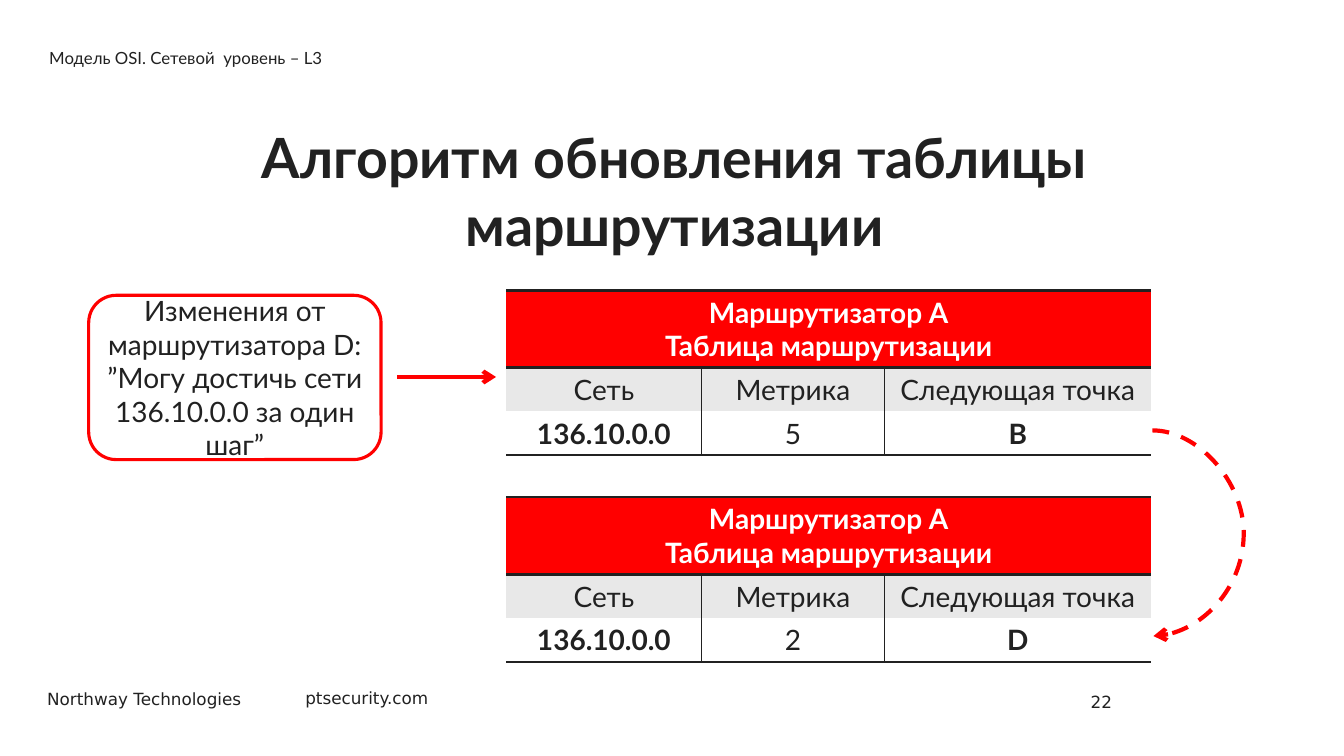
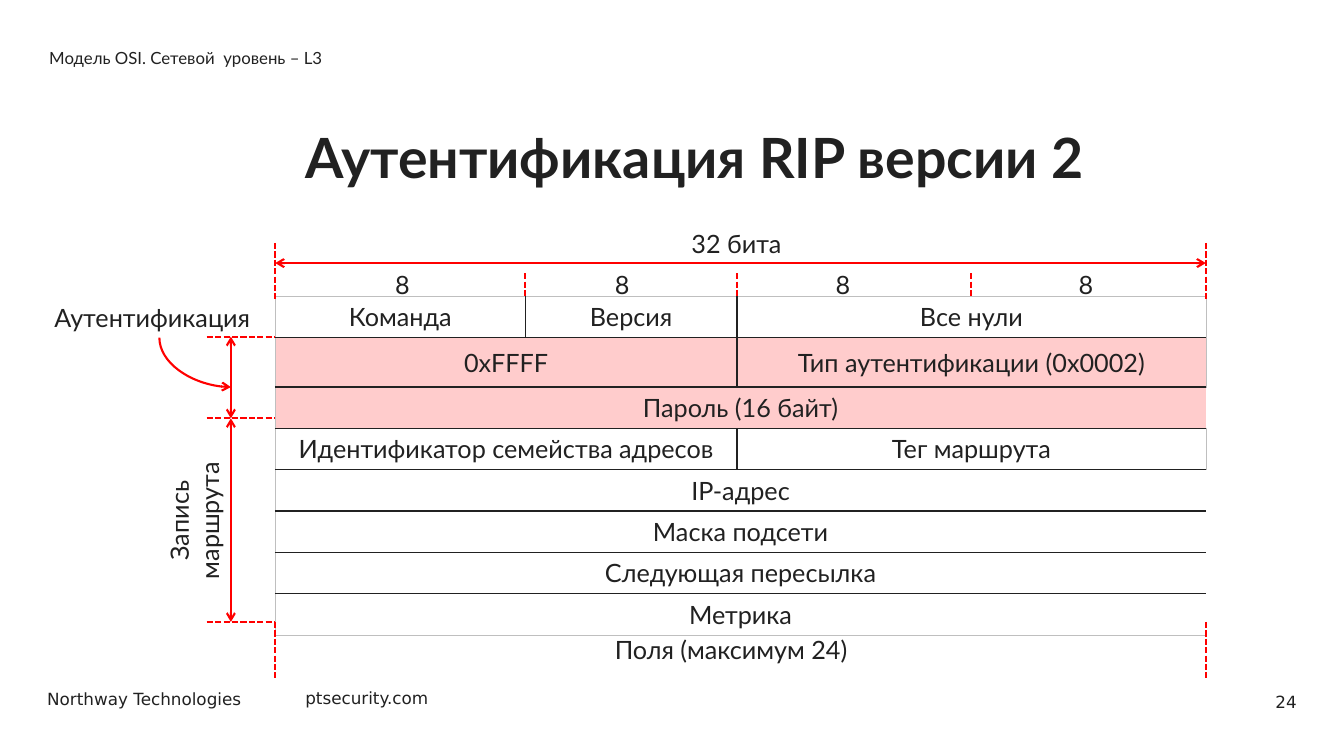
from pptx import Presentation
from pptx.dml.color import RGBColor
from pptx.enum.dml import MSO_LINE
from pptx.enum.shapes import MSO_CONNECTOR, MSO_SHAPE
from pptx.enum.text import MSO_ANCHOR, PP_ALIGN
from pptx.oxml.ns import qn
from pptx.util import Pt
from lxml.etree import SubElement

PX = 9144  # EMU per px, 100 px to the inch
INK = RGBColor(0x21, 0x21, 0x21)
RED = RGBColor(0xFF, 0x00, 0x00)
PINK = RGBColor(0xFF, 0xCC, 0xCC)
GRAY = RGBColor(0xE8, 0xE8, 0xE8)
EDGE = RGBColor(0xBF, 0xBF, 0xBF)
WHITE = RGBColor(0xFF, 0xFF, 0xFF)
LEFT, CENTER, RIGHT = PP_ALIGN.LEFT, PP_ALIGN.CENTER, PP_ALIGN.RIGHT
TOP, MIDDLE = MSO_ANCHOR.TOP, MSO_ANCHOR.MIDDLE
HEAD_FONT, FOOT_FONT = "Lato", "DejaVu Sans"
SECTION = "Модель OSI. Сетевой  уровень – L3"
FOOTERS = [(37, 678, 220, "Northway Technologies"), (293, 677, 160, "ptsecurity.com")]


class Deck:
    def __init__(self):
        self.prs = Presentation()
        self.prs.slide_width, self.prs.slide_height = 1333 * PX, 750 * PX
        self.s = None

    def slide(self, number, number_align=LEFT):
        """Start a slide with its section label, footer and number."""
        self.s = self.prs.slides.add_slide(self.prs.slide_layouts[6])
        for x, y, w, label in FOOTERS:
            self.text(x, y, w, 30, label, size=12, font=FOOT_FONT)
        self.text(1072, 676, 224, 40, str(number), size=12, font=FOOT_FONT,
                  align=number_align, anchor=MIDDLE)
        self.text(39, 37, 1033, 40, SECTION, size=12, anchor=MIDDLE)

    def title(self, x, text, align):
        sp = self.text(x, 117, 992, 120, text, size=39.6, align=align, bold=True)
        sp.text_frame.paragraphs[0].line_spacing = Pt(48)

    def set_text(self, tf, text, size, color=INK, font=HEAD_FONT, align=LEFT, bold=False):
        tf.text = text
        for p in tf.paragraphs:
            p.alignment = align
            p.font.size, p.font.name, p.font.bold = Pt(size), font, bold
            p.font.color.rgb = color

    def text(self, x, y, w, h, text, size=18, anchor=TOP, rotation=0, **style):
        sp = self.s.shapes.add_textbox(x * PX, y * PX, w * PX, h * PX)
        sp.rotation = rotation
        sp.text_frame.word_wrap = True
        sp.text_frame.vertical_anchor = anchor
        self.set_text(sp.text_frame, text, size, **style)
        return sp

    def callout(self, x, y, w, h, text):
        sp = self.s.shapes.add_shape(MSO_SHAPE.ROUNDED_RECTANGLE,
                                     x * PX, y * PX, w * PX, h * PX)
        sp.shadow.inherit = False
        sp.fill.solid()
        sp.fill.fore_color.rgb = WHITE
        sp.line.color.rgb, sp.line.width = RED, Pt(2.25)
        sp.text_frame.word_wrap = True
        sp.text_frame.vertical_anchor = MIDDLE
        self.set_text(sp.text_frame, text, 20, align=CENTER)

    def line(self, x1, y1, x2, y2, width=1.5, dash=None, arrows=(),
             kind=MSO_CONNECTOR.STRAIGHT):
        """Draw a red connector; arrows names its ends: headEnd, tailEnd."""
        c = self.s.shapes.add_connector(kind, x1 * PX, y1 * PX, x2 * PX, y2 * PX)
        c.line.color.rgb, c.line.width = RED, Pt(width)
        if dash:
            c.line.dash_style = dash
        ln = c._element.spPr.find(qn("a:ln"))
        for end in arrows:
            SubElement(ln, qn("a:" + end), type="arrow")
        SubElement(c._element.spPr, qn("a:effectLst"))
        return c

    def curve(self, x1, y1, x2, y2, preset, bend=None, rotation=0, **style):
        """Draw a curved arrow; bend is a multiple of its width."""
        c = self.line(x1, y1, x2, y2, arrows=["tailEnd"],
                      kind=MSO_CONNECTOR.CURVE, **style)
        spPr = c._element.spPr
        geom = spPr.find(qn("a:prstGeom"))
        geom.set("prst", preset)
        if bend:
            guides = geom.find(qn("a:avLst"))
            if guides is None:
                guides = SubElement(geom, qn("a:avLst"))
            SubElement(guides, qn("a:gd"), name="adj1", fmla=f"val {bend * 100000}")
        if rotation:
            spPr.find(qn("a:xfrm")).set("rot", str(rotation * 60000))

    def table(self, x, y, cols, rows):
        frame = self.s.shapes.add_table(len(rows), len(cols), x * PX, y * PX,
                                        sum(cols) * PX, sum(rows) * PX)
        table = frame.table
        table.first_row = table.horz_banding = False
        for column, w in zip(table.columns, cols):
            column.width = w * PX
        for row, h in zip(table.rows, rows):
            row.height = h * PX
        return table

    def cell(self, cell, borders, fill=None):
        """Set the borders (side: (color, points)), then the fill."""
        tcPr = cell._tc.get_or_add_tcPr()
        for side in "LRTB":
            color, width = borders.get(side, (None, 0))
            ln = SubElement(tcPr, qn("a:ln" + side), w=str(Pt(width)))
            if color is None:
                SubElement(ln, qn("a:noFill"))
            else:
                solid = SubElement(ln, qn("a:solidFill"))
                SubElement(solid, qn("a:srgbClr"), val=str(color))
        if fill is None:
            cell.fill.background()
        else:
            cell.fill.solid()
            cell.fill.fore_color.rgb = fill

    def routing_table(self, y, metric, next_hop):
        table = self.table(502, y, [194, 181, 265], [64, 41, 41])
        table.cell(0, 0).merge(table.cell(0, 2))
        self.set_text(table.cell(0, 0).text_frame, "Маршрутизатор A\nТаблица маршрутизации",
                      20, WHITE, align=CENTER, bold=True)
        body = [["Сеть", "Метрика", "Следующая точка"], ["136.10.0.0", metric, next_hop]]
        thick, thin = (INK, 2), (INK, 1)
        for col in range(3):
            self.cell(table.cell(0, col), {"T": thick, "B": thick}, RED)
            sides = {}
            if col > 0:
                sides["L"] = thin
            if col < 2:
                sides["R"] = thin
            self.cell(table.cell(1, col), sides | {"T": thick}, GRAY)
            self.cell(table.cell(2, col), sides | {"B": thick}, WHITE)
            for row, texts in enumerate(body, 1):
                self.set_text(table.cell(row, col).text_frame, texts[col], 20,
                              align=CENTER, bold=row == 2 and col != 1)

    def packet_table(self, x, y, cols, rows):
        """Each row is (height, fill, [(text, columns spanned), ...])."""
        table = self.table(x, y, cols, [h for h, _, _ in rows])
        inner, outer = (INK, 1), (EDGE, 0.5)
        for r, (_, fill, fields) in enumerate(rows):
            col = 0
            for text, span in fields:
                last = col + span - 1
                borders = {"L": inner if col else outer,
                           "R": inner if last < len(cols) - 1 else outer,
                           "T": inner if r else outer,
                           "B": inner if r < len(rows) - 1 else outer}
                cell = table.cell(r, col)
                if span > 1:
                    cell.merge(table.cell(r, last))
                for c in range(col, last + 1):
                    sides = dict(borders)
                    if c > col:
                        del sides["L"]
                    if c < last:
                        del sides["R"]
                    self.cell(table.cell(r, c), sides, fill)
                cell.vertical_anchor = MIDDLE
                self.set_text(cell.text_frame, text, 18, align=CENTER)
                col = last + 1


def routing_update(d):
    d.slide(22)
    d.title(173, "Алгоритм обновления таблицы маршрутизации", CENTER)
    d.callout(88, 293, 290, 163, "Изменения от маршрутизатора D: "
              "”Могу достичь сети 136.10.0.0 за один шаг”")
    d.routing_table(288, "5", "B")
    d.routing_table(493, "2", "D")
    d.line(394, 374, 492, 374, width=3, arrows=["tailEnd"])
    d.curve(1143, 427, 1144, 631, "curvedConnector3", bend=92, width=3,
            dash=MSO_LINE.DASH)


def rip_authentication(d):
    d.slide(24, RIGHT)
    d.title(293, "Аутентификация RIP версии 2", LEFT)

    # Packet fields
    left, right = 273, 1196
    whole_rows = ["IP-адрес", "Маска подсети", "Следующая пересылка", "Метрика"]
    d.packet_table(left, 294, [248, 210, 465], [
        (41, None, [("Команда", 1), ("Версия", 1), ("Все нули", 1)]),
        (49, PINK, [("0хFFFF", 2), ("Тип аутентификации (0x0002)", 1)]),
        (41, PINK, [("Пароль (16 байт)", 3)]),
        (41, None, [("Идентификатор семейства адресов", 2), ("Тег маршрута", 1)]),
    ] + [(41, None, [(name, 3)]) for name in whole_rows])

    # Dashed guides
    auth_top, route_top, route_end = 334, 415, 617
    guides = [(x, y, x, y + 56) for x in (left, right) for y in (241, route_end)]
    guides += [(x, 271, x, 294) for x in (521, 731, 963)]
    guides += [(205, y, left, y) for y in (auth_top, route_top, route_end)]
    for guide in guides:
        d.line(*guide, dash=MSO_LINE.SQUARE_DOT)

    # Dimension arrows
    for x1, y1, x2, y2 in [(left, 261, right, 261), (229, auth_top, 229, route_top),
                           (229, route_top, 229, route_end)]:
        d.line(x1, y1, x2, y2, arrows=["headEnd", "tailEnd"])
    d.curve(218, 324, 169, 395, "curvedConnector2", rotation=270)

    # Labels
    d.text(676, 222, 116, 40, "32 бита")
    for x in (382, 600, 819, 1060):
        d.text(x, 262, 87, 40, "8")
    d.text(600, 624, 333, 40, "Поля (максимум 24)")
    d.text(115, 481, 156, 71, "Запись\nмаршрута", rotation=270, align=CENTER)
    d.text(44, 295, 229, 40, "Аутентификация")


def main():
    d = Deck()
    routing_update(d)
    rip_authentication(d)
    d.prs.save("out.pptx")


if __name__ == "__main__":
    main()
